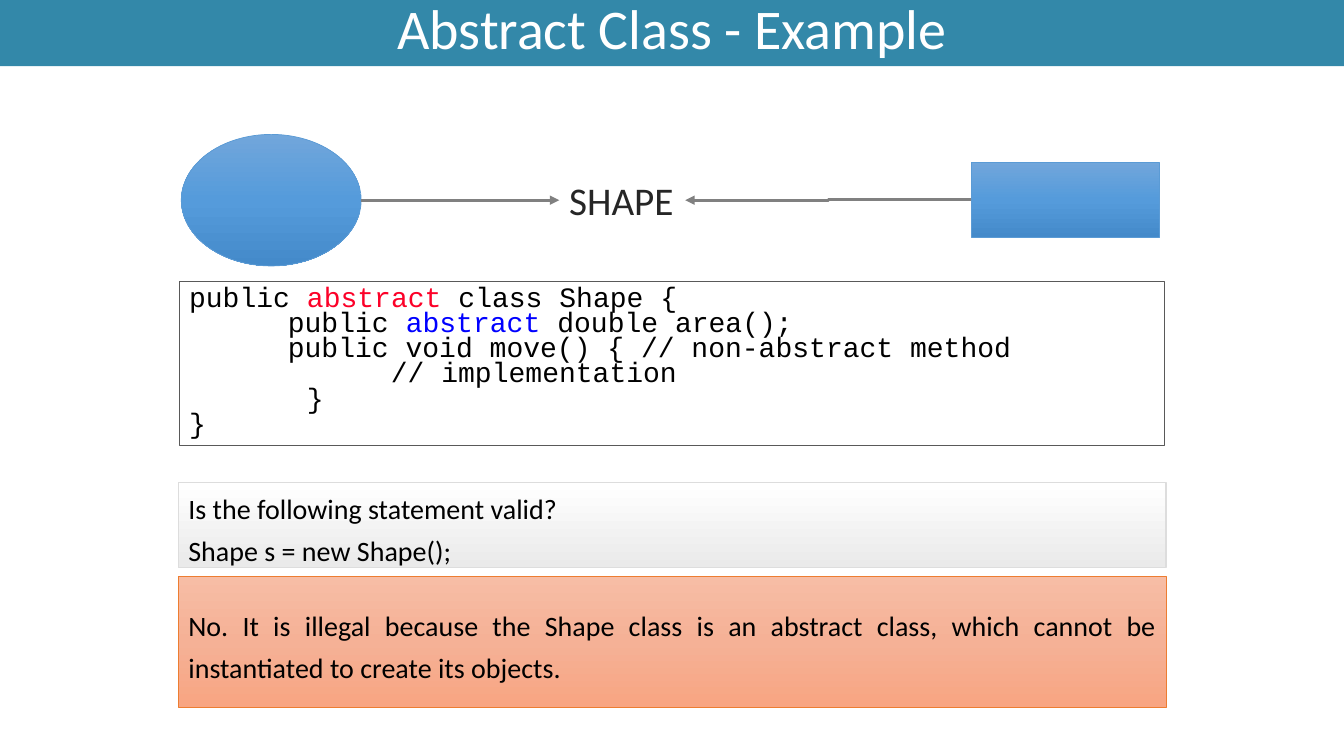
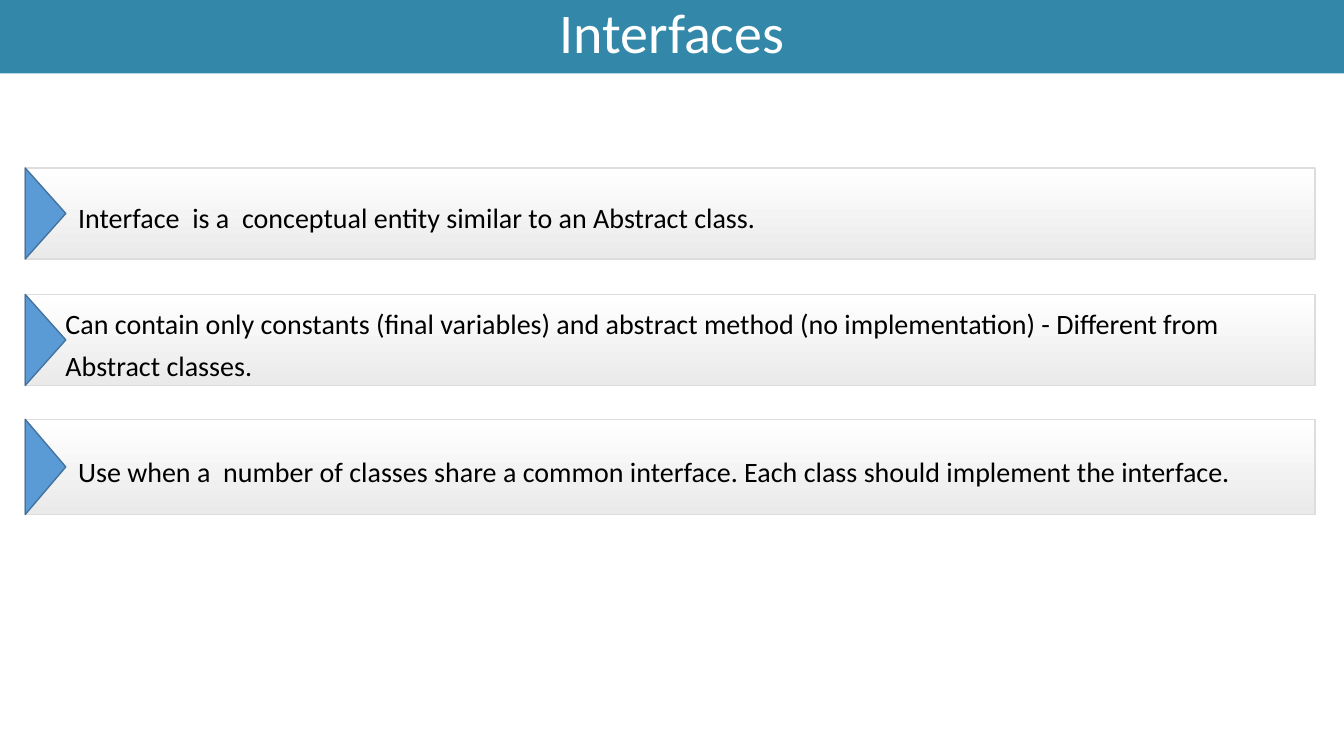
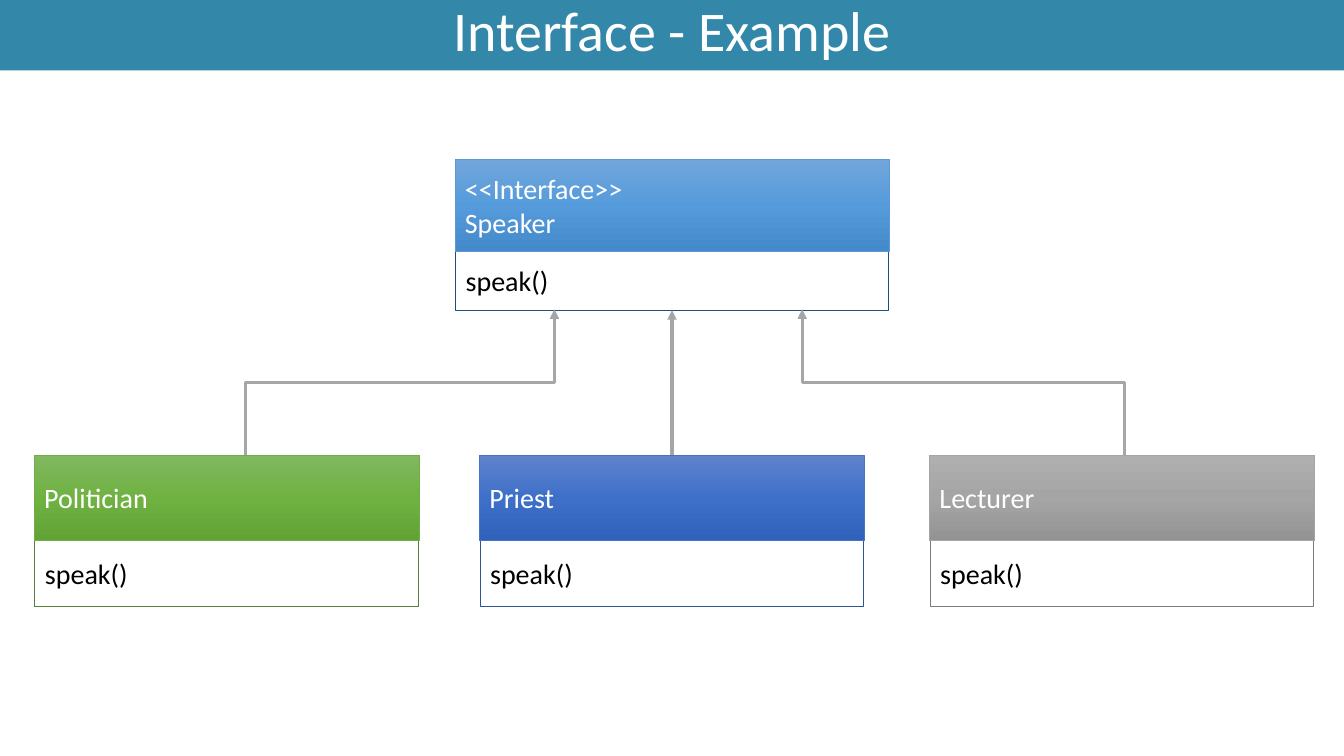
from dataclasses import dataclass

from lxml.etree import SubElement
from pptx import Presentation
from pptx.dml.color import RGBColor
from pptx.enum.shapes import MSO_CONNECTOR as Connector, MSO_SHAPE as Preset
from pptx.enum.text import MSO_ANCHOR as Anchor, PP_ALIGN as Align
from pptx.oxml.ns import qn
from pptx.util import Pt


@dataclass(frozen=True)
class Theme:
    width: float = 960
    height: float = 540
    font: str = "Calibri"
    code_font: str = "Courier New"
    title_size: float = 40
    label_size: float = 28
    body_size: float = 20
    code_leading: float = 18
    body_leading: float = 30
    band: str = "3388A9"
    white: str = "FFFFFF"
    black: str = "000000"
    label: str = "262626"
    red: str = "FC0128"
    blue: str = "0000FF"
    code_line: str = "595959"
    pale_line: str = "DDDDDD"
    marker: str = "5B9BD5"
    marker_line: str = "43739E"
    shape_arrow: str = "808080"
    class_arrow: str = "A6A6A6"
    pale: tuple = ("FFFFFF", "EAEAEA")
    sky: tuple = ("71A6DB", "559BDB", "448ACA")
    orange: tuple = ("F7BDA5", "F5B196", "F8A582")
    green: tuple = ("81B861", "6FB242", "62A336")
    royal: tuple = ("6183CB", "3E70CA", "3062BB")
    gray: tuple = ("AFAFAF", "A5A5A5", "939393")
    orange_line: str = "ED7D31"


THEME = Theme()


def rgb(value):
    return RGBColor.from_string(value)


def fill_shape(shape, fill):
    """Fill with nothing, one colour, or evenly spaced colours from top to bottom."""
    if fill is None:
        shape.fill.background()
    elif isinstance(fill, str):
        shape.fill.solid()
        shape.fill.fore_color.rgb = rgb(fill)
    else:
        shape.fill.gradient()
        shape.fill.gradient_angle = 270
        stops = shape._element.spPr.find(qn("a:gradFill")).find(qn("a:gsLst"))
        for stop in list(stops):
            stops.remove(stop)
        for index, color in enumerate(fill):
            position = str(100000 * index // (len(fill) - 1))
            stop = SubElement(stops, qn("a:gs"), pos=position)
            SubElement(stop, qn("a:srgbClr"), val=color)


def add_box(shapes, bounds, fill=None, line=None, line_width=0.5, preset=Preset.RECTANGLE):
    shape = shapes.add_shape(preset, *map(Pt, bounds))
    shape.shadow.inherit = False
    fill_shape(shape, fill)
    if line:
        shape.line.color.rgb = rgb(line)
        shape.line.width = Pt(line_width)
    else:
        shape.line.fill.background()
    return shape


def format_font(run, color, size=THEME.body_size, name=THEME.font):
    run.font.name = name
    run.font.size = Pt(size)
    run.font.color.rgb = rgb(color)


def set_insets(frame, left, top, right, bottom):
    frame.margin_left, frame.margin_top = Pt(left), Pt(top)
    frame.margin_right, frame.margin_bottom = Pt(right), Pt(bottom)


def write_text(shape, text, color=THEME.black, size=THEME.body_size,
               align=Align.LEFT, leading=None):
    frame = shape.text_frame
    frame.word_wrap = True
    frame.vertical_anchor = Anchor.MIDDLE
    frame.text = text
    for paragraph in frame.paragraphs:
        paragraph.alignment = align
        paragraph.line_spacing = leading
        for run in paragraph.runs:
            format_font(run, color, size)


def add_titled_slide(presentation, title, band_height):
    slide = presentation.slides.add_slide(presentation.slide_layouts[6])
    band = add_box(slide.shapes, (0, 0, THEME.width, band_height), THEME.band)
    write_text(band, title, THEME.white, THEME.title_size, Align.CENTER, 0.9)
    set_insets(band.text_frame, 7.2, 0, 7.2, 2)
    return slide


def add_panel(shapes, bounds, text, fill, line, line_width, align=Align.LEFT, left_inset=7.2):
    panel = add_box(shapes, bounds, fill, line, line_width)
    write_text(panel, text, align=align, leading=Pt(THEME.body_leading))
    set_insets(panel.text_frame, left_inset, 7.2, 7.2, 7.2)
    return panel


def add_arrow(slide, kind, start, end, color):
    arrow = slide.shapes.add_connector(kind, *map(Pt, (*start, *end)))
    arrow.line.color.rgb = rgb(color)
    arrow.line.width = Pt(2.25)
    SubElement(arrow.line._get_or_add_ln(), qn("a:tailEnd"), type="triangle")
    SubElement(arrow._element.spPr, qn("a:effectLst"))
    return arrow


def add_rising_elbow(slide, start, end, color):
    """Draw an elbow that leaves upwards: a sideways one turned about its centre."""
    (x1, y1), (x2, y2) = start, end
    center_x, center_y = (x1 + x2) / 2, (y1 + y2) / 2
    half_run, half_rise = abs(x1 - x2) / 2, (y1 - y2) / 2
    turn, side = (90, 1) if x1 < x2 else (270, -1)
    arrow = add_arrow(slide, Connector.ELBOW,
                      (center_x + side * half_rise, center_y + half_run),
                      (center_x - side * half_rise, center_y - half_run), color)
    arrow._element.spPr.find(qn("a:xfrm")).set("rot", str(turn * 60000))


def add_code(slide, bounds, lines, tab):
    box = add_box(slide.shapes, bounds, line=THEME.code_line, line_width=0.75)
    frame = box.text_frame
    frame.word_wrap = True
    frame.vertical_anchor = Anchor.MIDDLE
    for index, pieces in enumerate(lines):
        paragraph = frame.add_paragraph() if index else frame.paragraphs[0]
        paragraph.alignment = Align.LEFT
        paragraph.line_spacing = Pt(THEME.code_leading)
        tabs = SubElement(paragraph._p.get_or_add_pPr(), qn("a:tabLst"))
        SubElement(tabs, qn("a:tab"), pos=str(Pt(tab)), algn="l")
        for text, color in pieces:
            run = paragraph.add_run()
            run.text = text
            format_font(run, color, name=THEME.code_font)


def add_class(shapes, left, top, width, heights, name, fill, line, body_line):
    """Draw a class name above its method and return both boxes."""
    header_height, body_height = heights
    body = add_box(shapes, (left + 0.5, top + header_height - 1, width - 1, body_height),
                   THEME.white, body_line, 0.75)
    write_text(body, "speak()")
    header = add_box(shapes, (left, top, width, header_height), fill, line)
    write_text(header, name, THEME.white)
    return header, body


def build_abstract_class(presentation):
    slide = add_titled_slide(presentation, "Abstract Class - Example", 47.3)
    shapes = slide.shapes
    add_box(shapes, (129.5, 96, 128.5, 94), THEME.sky, THEME.marker, preset=Preset.OVAL)
    rectangle = add_box(shapes, (694, 116, 134, 53.5), THEME.sky, THEME.marker)
    label = shapes.add_textbox(Pt(399.5), Pt(122.5), Pt(90), Pt(41))
    write_text(label, "SHAPE", THEME.label, THEME.label_size)
    label.text_frame.word_wrap = False

    black = THEME.black
    add_code(slide, (128, 201, 704, 117), [
        [("public ", black), ("abstract", THEME.red), (" class Shape {", black)],
        [("\t    public ", black), ("abstract ", THEME.blue), ("double area();", black)],
        [("\t    public void move() { // non-abstract method", black)],
        [("            // implementation", black)],
        [("       }", black)],
        [("}", black)],
    ], tab=22.5)
    add_panel(shapes, (127.5, 344.5, 705.5, 61),
              "Is the following statement valid?\nShape s = new Shape();",
              THEME.pale, THEME.pale_line, 1, Align.JUSTIFY)
    add_panel(shapes, (127.5, 412, 705.5, 93),
              "No. It is illegal because the Shape class is an abstract class, "
              "which cannot be instantiated to create its objects.",
              THEME.orange, THEME.orange_line, 0.5, Align.JUSTIFY)

    from_ellipse = add_arrow(slide, Connector.STRAIGHT, (258, 143), (399.5, 143),
                             THEME.shape_arrow)
    from_ellipse.end_connect(label, 1)
    from_rectangle = add_arrow(slide, Connector.ELBOW, (694, 142.75), (489.5, 143),
                               THEME.shape_arrow)
    from_rectangle.begin_connect(rectangle, 1)
    from_rectangle.end_connect(label, 3)


def build_interfaces(presentation):
    slide = add_titled_slide(presentation, "Interfaces", 52.5)
    left, width, marker_width = 18, 921.5, 29
    bars = [
        (120, 65, 37.8, "Interface  is a  conceptual entity similar to an Abstract class."),
        (210.3, 65, 28.8, "Can contain only constants (final variables) and abstract method "
                          "(no implementation) - Different from Abstract classes."),
        (299.5, 68, 37.8, "Use when a  number of classes share a common interface. "
                          "Each class should implement the interface."),
    ]
    for top, height, inset, text in bars:
        group = slide.shapes.add_group_shape()
        add_panel(group.shapes, (left, top, width, height), text,
                  THEME.pale, THEME.pale_line, 1, left_inset=inset)
        shift = (height - marker_width) / 2
        marker = add_box(group.shapes, (left - shift, top + shift, height, marker_width),
                         THEME.marker, THEME.marker_line, 1, Preset.ISOSCELES_TRIANGLE)
        marker.rotation = 90


def build_interface_example(presentation):
    slide = add_titled_slide(presentation, "Interface - Example", 50.4)
    _, speaker_body = add_class(slide.shapes, 325, 114, 310, (65.5, 43),
                                "<<Interface>>\nSpeaker", THEME.sky, THEME.marker, "1F4E79")
    implementers = [
        ("Politician", 24.5, THEME.green, "70AD47", "548235"),
        ("Priest", 342.5, THEME.royal, "4472C4", "2F5597"),
        ("Lecturer", 664, THEME.gray, "A5A5A5", "7C7C7C"),
    ]
    headers = {}
    for name, left, fill, line, body_line in implementers:
        group = slide.shapes.add_group_shape()
        headers[name], _ = add_class(group.shapes, left, 325, 275, (61, 48.5),
                                     name, fill, line, body_line)

    for start_x, end_x in ((175.5, 396), (803.5, 573)):
        add_rising_elbow(slide, (start_x, 325), (end_x, 221), THEME.class_arrow)
    middle = add_arrow(slide, Connector.STRAIGHT, (480, 325), (480, 221), THEME.class_arrow)
    middle.begin_connect(headers["Priest"], 0)
    middle.end_connect(speaker_body, 2)


def main():
    presentation = Presentation()
    presentation.slide_width = Pt(THEME.width)
    presentation.slide_height = Pt(THEME.height)
    build_abstract_class(presentation)
    build_interfaces(presentation)
    build_interface_example(presentation)
    presentation.save("out.pptx")


if __name__ == "__main__":
    main()
